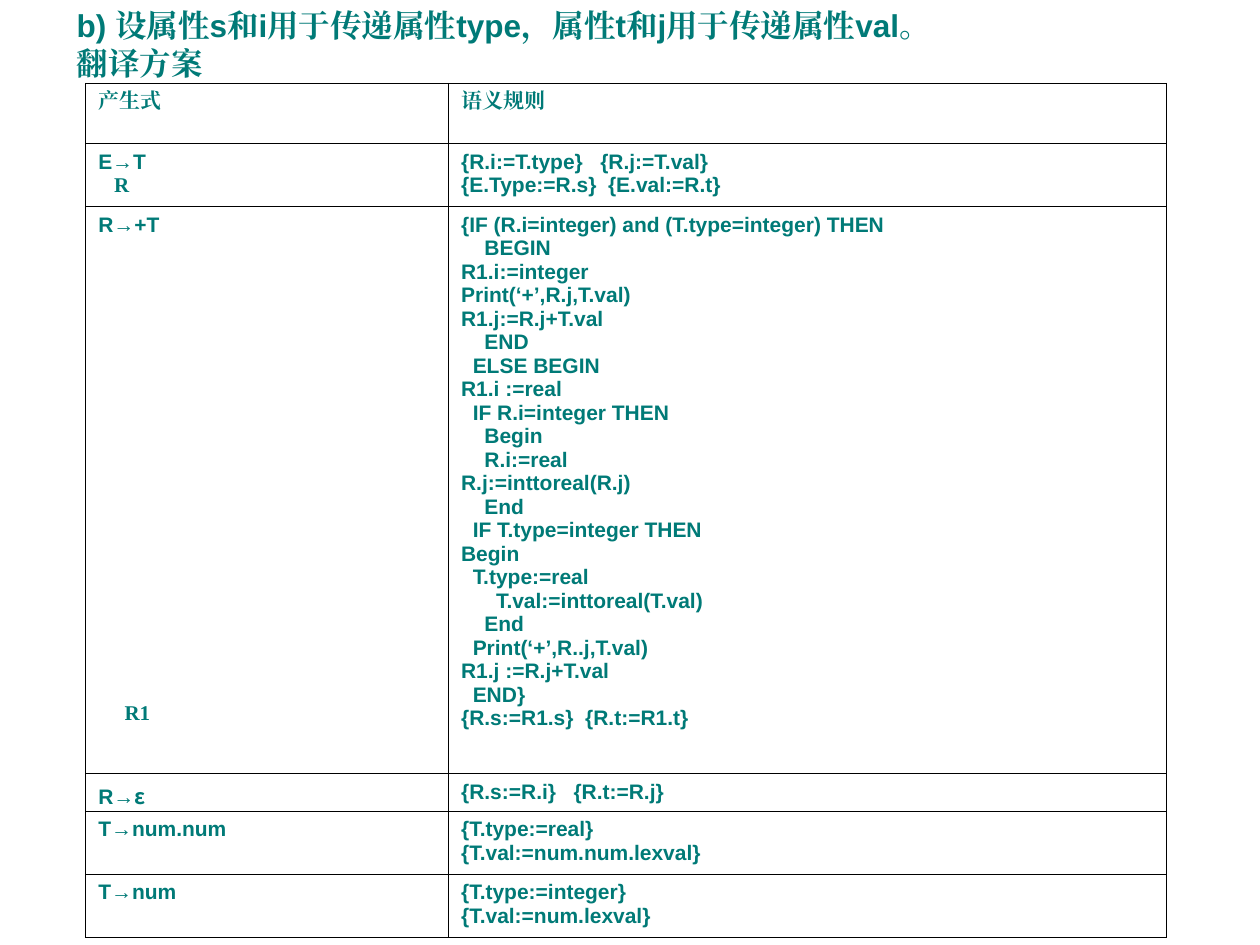
from dataclasses import dataclass
from itertools import groupby

from lxml.etree import SubElement
from pptx import Presentation
from pptx.dml.color import RGBColor
from pptx.enum.text import MSO_ANCHOR
from pptx.oxml.ns import qn
from pptx.util import Emu, Inches, Pt


@dataclass(frozen=True)
class Theme:
    ink: str = "007A77"
    border: str = "000000"
    border_width: float = 0.45
    title_size: int = 18
    body_size: int = 12
    latin: str = "Arial"
    serif: str = "Times New Roman"
    greek: str = "Noto Sans CJK SC"

    def font_for(self, char):
        if char == "ε":
            return self.greek
        return self.serif if ord(char) >= 0x2E80 else self.latin


THEME = Theme()
COLUMNS, ROWS = 100, 75

TITLE = ["b) 设属性s和i用于传递属性type，属性t和j用于传递属性val。", "翻译方案"]

ADD_RULE = """{IF (R.i=integer) and (T.type=integer) THEN
    BEGIN
R1.i:=integer
Print(‘+’,R.j,T.val)
R1.j:=R.j+T.val
    END
  ELSE BEGIN
R1.i :=real
  IF R.i=integer THEN
    Begin
    R.i:=real
R.j:=inttoreal(R.j)
    End
  IF T.type=integer THEN
Begin
  T.type:=real
      T.val:=inttoreal(T.val)
    End
  Print(‘+’,R..j,T.val)
R1.j :=R.j+T.val
  END}
{R.s:=R1.s}  {R.t:=R1.t}""".splitlines()

# A line is a string, or a pair of string and format
R_LINE = ("R", dict(font=THEME.serif, indent=9))
R1_LINE = ("R1", dict(font=THEME.serif, indent=15, before=266))

# Height in grid rows, production, semantic rules
SCHEME = [
    (4.8, ["产生式"], ["语义规则"]),
    (5, ["E→T", R_LINE],
     ["{R.i:=T.type}   {R.j:=T.val}", "{E.Type:=R.s}  {E.val:=R.t}"]),
    (45, ["R→+T", R1_LINE], ADD_RULE),
    (3, ["R→ε"], ["{R.s:=R.i}   {R.t:=R.j}"]),
    (5, ["T→num.num"], ["{T.type:=real}", "{T.val:=num.num.lexval}"]),
    (5, ["T→num"], ["{T.type:=integer}", "{T.val:=num.lexval}"]),
]


def write(p, text, size, font=None, indent=0, before=0):
    """Fill a paragraph, giving each script its own font."""
    if indent:
        p._p.get_or_add_pPr().set("marL", str(Pt(indent)))
    if before:
        p.space_before = Pt(before)
    for name, chars in groupby(text, key=lambda c: font or THEME.font_for(c)):
        r = p.add_run()
        r.text = "".join(chars)
        r.font.name, r.font.size, r.font.bold = name, Pt(size), True
        r.font.color.rgb = RGBColor.from_string(THEME.ink)
        SubElement(r._r.get_or_add_rPr(), qn("a:ea"), typeface=name)


def write_lines(tf, lines, size):
    for i, line in enumerate(lines):
        p = tf.add_paragraph() if i else tf.paragraphs[0]
        text, style = (line, {}) if isinstance(line, str) else line
        write(p, text, size, **style)


def draw_borders(cell, theme):
    tcPr = cell._tc.get_or_add_tcPr()
    for i, side in enumerate(("lnL", "lnR", "lnT", "lnB")):
        ln = SubElement(tcPr, qn(f"a:{side}"), w=str(Pt(theme.border_width)))
        fill = SubElement(ln, qn("a:solidFill"))
        SubElement(fill, qn("a:srgbClr"), val=theme.border)
        tcPr.insert(i, ln)


class SlideBuilder:
    def __init__(self, prs, theme):
        self.theme = theme
        self.slide = prs.slides.add_slide(prs.slide_layouts[6])
        self.col = prs.slide_width / COLUMNS
        self.row = prs.slide_height / ROWS

    def place(self, x, y, w, h):
        """Turn grid columns and rows into lengths."""
        return [Emu(round(n * unit)) for n, unit in
                zip((x, y, w, h), (self.col, self.row) * 2)]

    def title(self, lines, *area):
        tf = self.slide.shapes.add_textbox(*self.place(*area)).text_frame
        tf.word_wrap = True
        tf.vertical_anchor = MSO_ANCHOR.MIDDLE
        write_lines(tf, lines, self.theme.title_size)

    def table(self, rows, x, y, widths):
        area = self.place(x, y, sum(widths), sum(row[0] for row in rows))
        table = self.slide.shapes.add_table(len(rows), len(widths), *area).table
        table.first_row = table.horz_banding = False
        for column, width in zip(table.columns, widths):
            column.width = Emu(round(width * self.col))
        for i, (height, *contents) in enumerate(rows):
            table.rows[i].height = Emu(round(height * self.row))
            for j, lines in enumerate(contents):
                self.cell(table.cell(i, j), lines)

    def cell(self, cell, lines):
        cell.fill.background()
        cell.margin_bottom = 0
        draw_borders(cell, self.theme)
        write_lines(cell.text_frame, lines, self.theme.body_size)


def main():
    prs = Presentation()
    prs.slide_width, prs.slide_height = Inches(10), Inches(7.5)
    s = SlideBuilder(prs, THEME)
    s.title(TITLE, 5.1, 0, 89.4, 7)
    s.table(SCHEME, 6.8, 6.6, (28.8, 57))
    prs.save("out.pptx")


if __name__ == "__main__":
    main()
